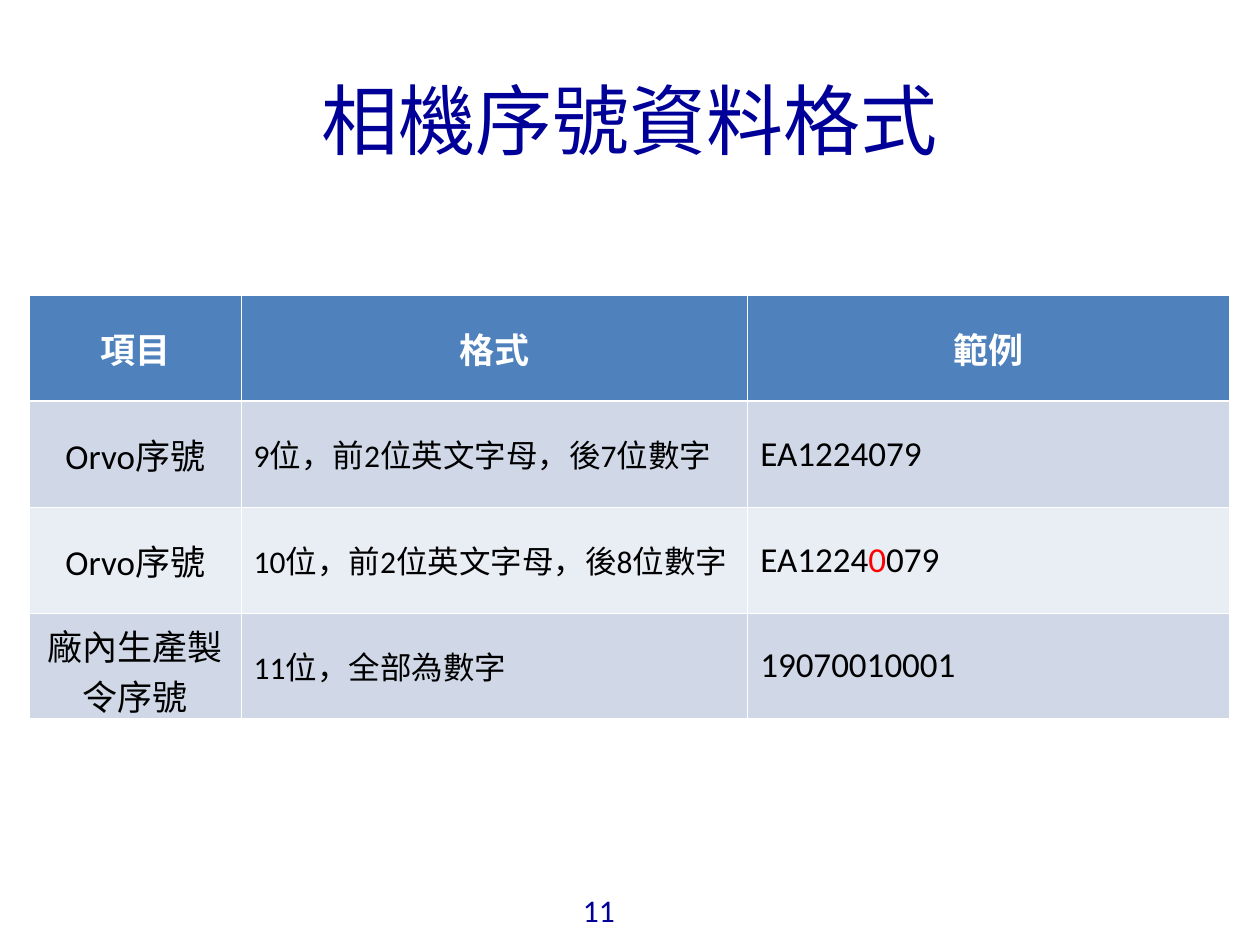
from lxml import etree
from pptx import Presentation, util as u
from pptx.dml.color import RGBColor
from pptx.enum import text
from pptx.oxml.ns import qn

LATIN, CJK = "Calibri", "Noto Sans CJK SC"
NAVY, WHITE, BLACK, RED = "000099", "FFFFFF", "000000", "FF0000"
HEADER_FILL, BAND_FILLS = "4F81BD", ("D0D8E8", "E9EDF4")
LEFT, CENTER = text.PP_ALIGN.LEFT, text.PP_ALIGN.CENTER
THIN, THICK = 0.45, 1.47


def color(value):
    return RGBColor.from_string(value)


def write(para, words, size=20, ink=BLACK, bold=False, align=LEFT, font=LATIN):
    """Add one formatted span of words to a paragraph."""
    para.alignment = align
    span = para.add_run()
    span.text = words
    span.font.size = u.Pt(size)
    span.font.bold = bold
    span.font.color.rgb = color(ink)
    span.font.name = font
    etree.SubElement(span.font._element, qn("a:ea"), typeface=CJK)


def draw_border(cell, side, width):
    line = etree.SubElement(cell._tc.get_or_add_tcPr(), qn(f"a:ln{side}"),
                            w=str(u.Pt(width)))
    fill = etree.SubElement(line, qn("a:solidFill"))
    etree.SubElement(fill, qn("a:srgbClr"), val=WHITE)


class SlideBuilder:
    def __init__(self, deck):
        self.page = deck.slides.add_slide(deck.slide_layouts[5])

    def title(self, words, left, top, width, height):
        box = self.page.shapes.title
        box.left, box.top = u.Pt(left), u.Pt(top)
        box.width, box.height = u.Pt(width), u.Pt(height)
        box.text_frame.vertical_anchor = text.MSO_ANCHOR.MIDDLE
        write(box.text_frame.paragraphs[0], words, size=44, ink=NAVY,
              align=CENTER, font=CJK)

    def page_number(self, words, left, top, width, height):
        box = self.page.shapes.add_textbox(*map(u.Pt, (left, top, width, height)))
        box.text_frame.word_wrap = True
        write(box.text_frame.paragraphs[0], words, size=18, ink=NAVY)

    def table(self, rows, left, top, widths, row_height):
        frame = self.page.shapes.add_table(
            len(rows), len(widths), u.Pt(left), u.Pt(top),
            u.Pt(sum(widths)), u.Pt(row_height * len(rows)))
        grid = frame.table
        for column, width in zip(grid.columns, widths):
            column.width = u.Pt(width)
        for r, row in enumerate(rows):
            grid.rows[r].height = u.Pt(row_height)
            for c, content in enumerate(row):
                self.cell(grid.cell(r, c), r, c, content)

    def cell(self, cell, r, c, content):
        """Fill a cell; content is a string or a list of (words, colour)."""
        header = r == 0
        cell.vertical_anchor = text.MSO_ANCHOR.MIDDLE
        # The line below the header is thicker than the others
        for side, width in (("L", THIN), ("R", THIN),
                            ("T", THICK if r == 1 else THIN),
                            ("B", THICK if header else THIN)):
            draw_border(cell, side, width)
        cell.fill.solid()
        cell.fill.fore_color.rgb = color(
            HEADER_FILL if header else BAND_FILLS[(r - 1) % 2])
        if isinstance(content, str):
            content = [(content, WHITE if header else BLACK)]
        for words, ink in content:
            write(cell.text_frame.paragraphs[0], words, ink=ink, bold=header,
                  size=18 if c == 1 and not header else 20,
                  align=CENTER if header or c == 0 else LEFT)


def main():
    deck = Presentation()
    deck.slide_width, deck.slide_height = u.Pt(720), u.Pt(540)
    builder = SlideBuilder(deck)

    # Title and page number
    builder.title("相機序號資料格式", 36, 29, 648, 78)
    builder.page_number("11", 326, 505.5, 40, 29.5)

    # Serial number formats
    rows = [
        ("項目", "格式", "範例"),
        ("Orvo序號", "9位，前2位英文字母，後7位數字", "EA1224079"),
        ("Orvo序號", "10位，前2位英文字母，後8位數字",
         [("EA1224", BLACK), ("0", RED), ("079", BLACK)]),
        ("廠內生產製令序號", "11位，全部為數字", "19070010001"),
    ]
    builder.table(rows, 16.8, 168.8, (121, 289.5, 275.5), 60.5)

    deck.save("out.pptx")


if __name__ == "__main__":
    main()
